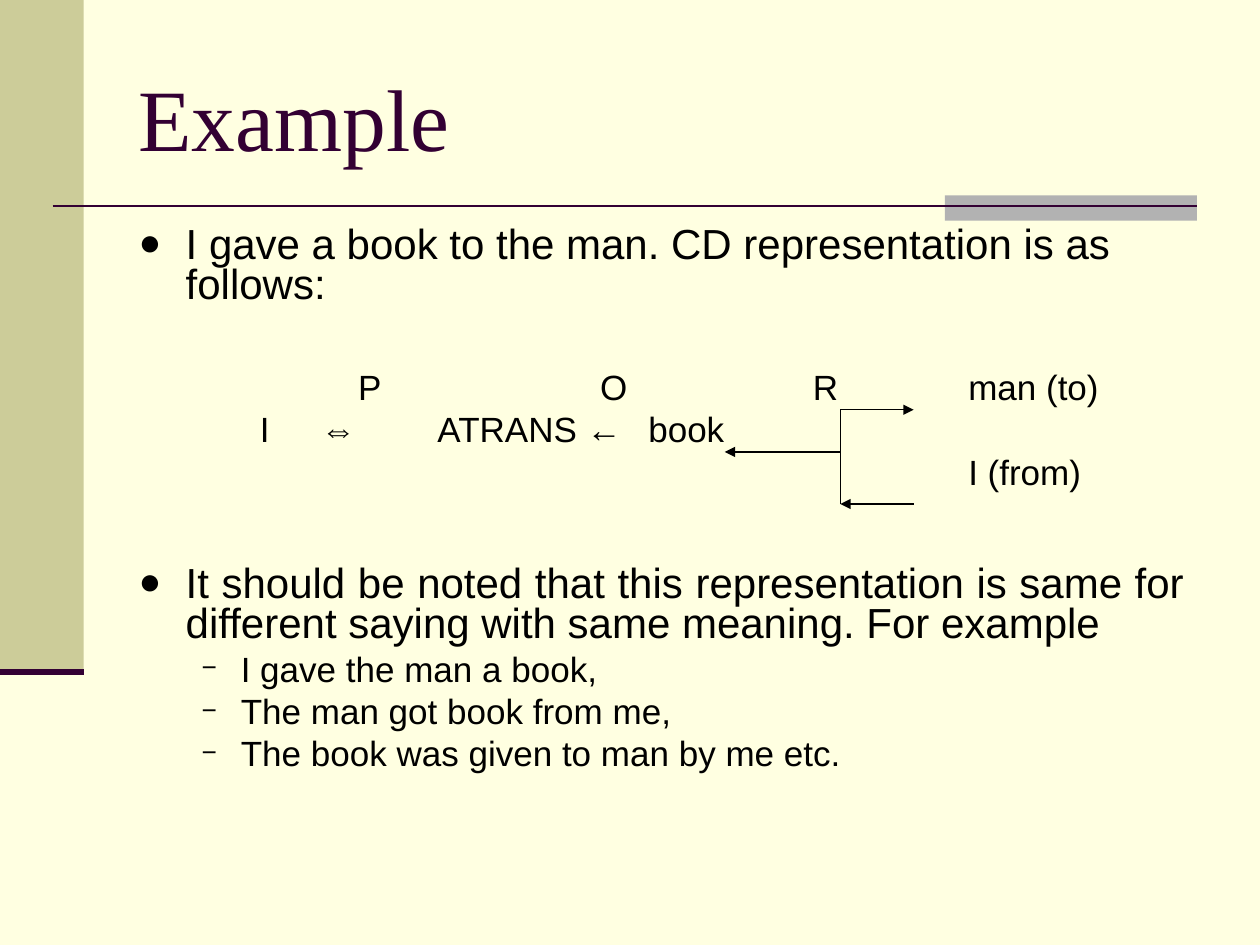
from dataclasses import dataclass

from lxml.etree import SubElement
from pptx import Presentation
from pptx.dml.color import RGBColor as Rgb
from pptx.enum.shapes import MSO_CONNECTOR as Connector, MSO_SHAPE as Shape
from pptx.enum.text import MSO_ANCHOR as Anchor, MSO_AUTO_SIZE as AutoSize, PP_ALIGN as Align
from pptx.oxml.ns import qn
from pptx.util import Cm, Pt


@dataclass(frozen=True)
class Theme:
    """Colours, fonts and type sizes of the slide."""
    paper: str = "FFFFE1"
    olive: str = "CCCC99"
    grey: str = "B2B2B2"
    plum: str = "330033"
    ink: str = "000000"
    title_font: str = "Times New Roman"
    body_font: str = "Arial"
    title_size: int = 50
    point_size: int = 24
    detail_size: int = 20


THEME = Theme()
POINT = ("●", 90, 0.95, -0.95)
DETAIL = ("−", 75, 2.06, -0.79)
REPRESENTATION = (
    (("P", 1.98), ("O", 6.86), ("R", 11.15), ("man (to)", 14.28)),
    (("I", 0), ("⇔", 1.23), ("ATRANS ←", 3.58), ("book", 7.83)),
    (("I (from)", 14.28),),
)


def add_band(slide, left, top, width, height, color):
    """Add a plain filled rectangle."""
    band = slide.shapes.add_shape(Shape.RECTANGLE, Cm(left), Cm(top), Cm(width), Cm(height))
    band.shadow.inherit = False
    band.fill.solid()
    band.fill.fore_color.rgb = Rgb.from_string(color)
    band.line.fill.background()


def add_rule(slide, start, end, color, weight, arrow=False):
    """Add a straight line, with an arrowhead at its end if wanted."""
    rule = slide.shapes.add_connector(Connector.STRAIGHT, *map(Cm, (*start, *end)))
    rule.line.color.rgb = Rgb.from_string(color)
    rule.line.width = Pt(weight)
    if arrow:
        SubElement(rule.line._get_or_add_ln(), qn("a:tailEnd"), type="triangle")
    SubElement(rule._element.spPr, qn("a:effectLst"))


def place(placeholder, left, top, width, height, anchor):
    """Move a placeholder to its box and return its text frame."""
    placeholder.left, placeholder.top = Cm(left), Cm(top)
    placeholder.width, placeholder.height = Cm(width), Cm(height)
    frame = placeholder.text_frame
    frame.word_wrap = True
    frame.auto_size = AutoSize.NONE
    frame.vertical_anchor = anchor
    return frame


def style_runs(paragraph, font, size, color):
    """Give every run of a paragraph its font, size and colour."""
    for run in paragraph.runs:
        run.font.name = font
        run.font.size = Pt(size)
        run.font.color.rgb = Rgb.from_string(color)


def set_bullet(paragraph, bullet):
    """Give a paragraph its hanging bullet."""
    mark, percent, margin, indent = bullet
    props = paragraph._p.get_or_add_pPr()
    props.set("marL", str(Cm(margin)))
    props.set("indent", str(Cm(indent)))
    color = SubElement(props, qn("a:buClr"))
    SubElement(color, qn("a:srgbClr"), val=THEME.ink)
    SubElement(props, qn("a:buSzPct"), val=str(percent * 1000))
    SubElement(props, qn("a:buFont"), typeface=THEME.body_font)
    SubElement(props, qn("a:buChar"), char=mark)


def add_backdrop(slide, width, height):
    """Draw the side bar, the title rule and its accent."""
    bar_width, bar_height = 1.69, height - 5.5
    right, rule_top = width - 1.27, 4.15
    slide.background.fill.solid()
    slide.background.fill.fore_color.rgb = Rgb.from_string(THEME.paper)
    add_band(slide, 0, 0, bar_width, bar_height, THEME.olive)
    add_band(slide, right - 5.08, rule_top - 0.21, 5.08, 0.51, THEME.grey)
    add_rule(slide, (1.06, rule_top), (right, rule_top), THEME.plum, 1.5)
    add_rule(slide, (0, bar_height), (bar_width, bar_height), THEME.plum, 3.5)


def fill_title(slide, left, top, width, height):
    """Write the title in its box."""
    frame = place(slide.shapes.title, left, top, width, height, Anchor.MIDDLE)
    frame.text = "Example"
    heading = frame.paragraphs[0]
    heading.alignment = Align.LEFT
    style_runs(heading, THEME.title_font, THEME.title_size, THEME.plum)


def fill_body(slide, left, top, width, height):
    """Write the points and paraphrases, leaving room for the representation."""
    frame = place(slide.placeholders[1], left, top, width, height, Anchor.TOP)
    points = (
        ("I gave a book to the man. CD representation is as follows:", 8, POINT),
        ("It should be noted that this representation is same for different saying "
         "with same meaning. For example", 147.5, POINT),
        ("I gave the man a book,", 5, DETAIL),
        ("The man got book from me,", 5, DETAIL),
        ("The book was given to man by me etc.", 5, DETAIL),
    )
    for index, (wording, space, bullet) in enumerate(points):
        point = frame.add_paragraph() if index else frame.paragraphs[0]
        point.text = wording
        point.level = 1 if bullet is DETAIL else 0
        point.alignment = Align.JUSTIFY if index else Align.LEFT
        point.line_spacing = 0.8
        point.space_before = Pt(space)
        set_bullet(point, bullet)
        size = THEME.point_size if bullet is POINT else THEME.detail_size
        style_runs(point, THEME.body_font, size, THEME.ink)


def add_term(slide, left, top, wording):
    """Write one term of the representation."""
    term = slide.shapes.add_textbox(Cm(left), Cm(top), Cm(0.6 + 0.42 * len(wording)), Cm(0.85))
    frame = term.text_frame
    frame.word_wrap = True
    frame.margin_left = frame.margin_right = frame.margin_top = frame.margin_bottom = 0
    frame.text = wording
    style_runs(frame.paragraphs[0], THEME.body_font, THEME.detail_size, THEME.ink)


def add_recipient_fork(slide, left, top, width, height):
    """Draw the fork that links the book to its giver and receiver."""
    trunk, right, bottom, middle = left + 2.33, left + width, top + height, top + 0.85
    add_rule(slide, (trunk, top), (trunk, bottom), THEME.ink, 0.75)
    arrows = (
        ((trunk, middle), (left, middle)),
        ((trunk, top), (right, top)),
        ((right, bottom), (trunk, bottom)),
    )
    for start, end in arrows:
        add_rule(slide, start, end, THEME.ink, 0.75, arrow=True)


def add_representation(slide, left, top):
    """Lay out the terms in rows and join them with the fork."""
    for row, terms in enumerate(REPRESENTATION):
        for wording, offset in terms:
            add_term(slide, left + offset, top + 0.86 * row, wording)
    add_recipient_fork(slide, left + 9.37, top + 0.9, 3.81, 1.9)


def main():
    """Build the slide and save it."""
    width, height = 25.4, 19.05
    deck = Presentation()
    deck.slide_width, deck.slide_height = Cm(width), Cm(height)
    slide = deck.slides.add_slide(deck.slide_layouts[1])
    add_backdrop(slide, width, height)
    fill_title(slide, 2.54, 0.76, 21.59, 3.18)
    fill_body(slide, 2.54, 4.45, 21.59, 12.57)
    add_representation(slide, 5.24, 7.36)
    deck.save("out.pptx")


if __name__ == "__main__":
    main()
